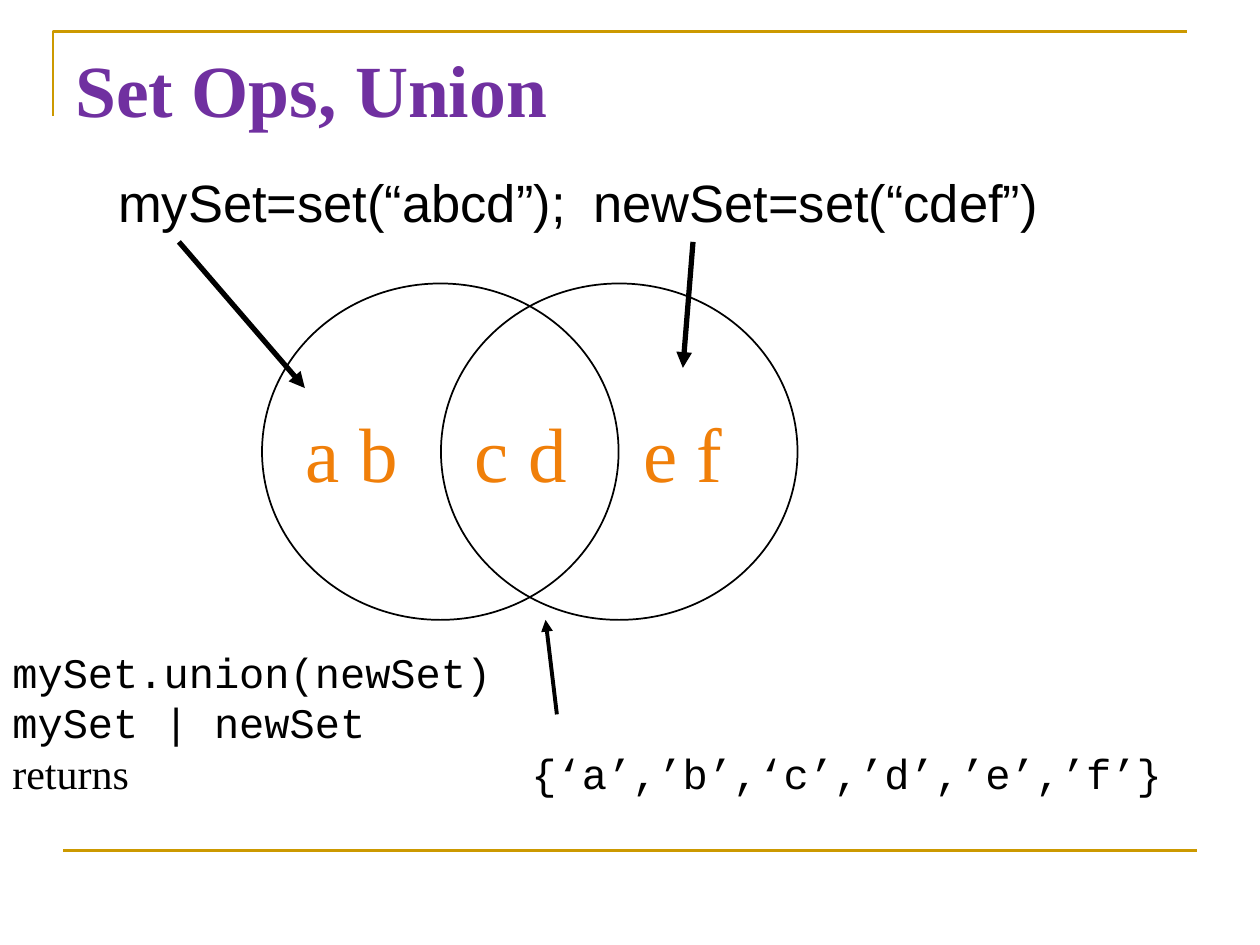
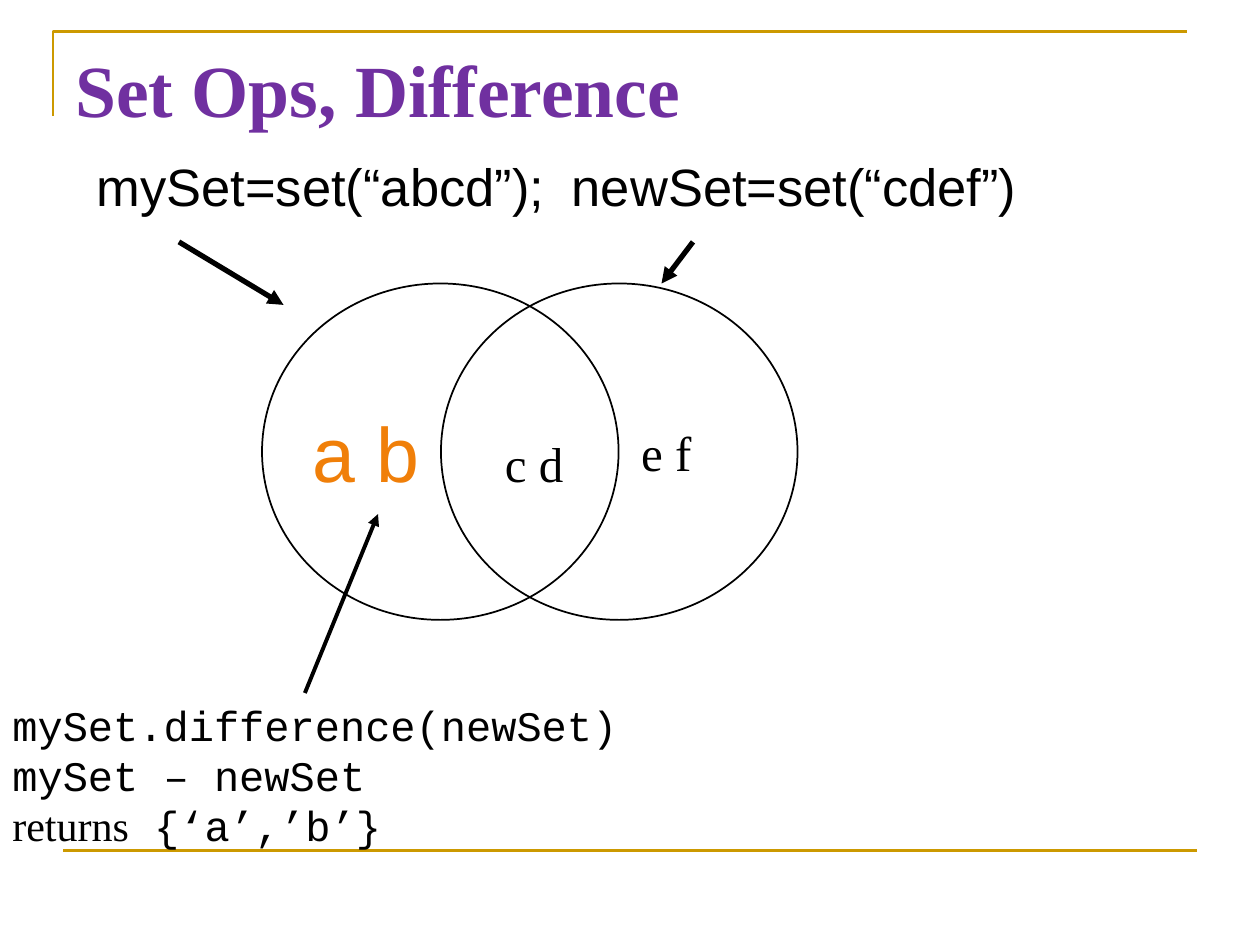
from lxml import etree
from pptx import Presentation, util as u
from pptx.dml.color import RGBColor
from pptx.enum import shapes, text
from pptx.oxml import ns

COLORS = {"gold": "CC9900", "title": "7030A0", "ink": "000000", "accent": "F07F09"}
SERIF, SANS, MONO = "Times New Roman", "Arial", "Courier New"
CIRCLE_TOP, CIRCLE_WIDTH, CIRCLE_HEIGHT = 2.25, 2.83, 2.67
CIRCLE_LEFTS = (3.5, 2.08)
ARROW_TOP = 1.92
LABEL_STEP = 1.34


def color(name):
    return RGBColor.from_string(COLORS[name])


def style(font, name, size, ink="ink", bold=False):
    font.name, font.size, font.bold = name, u.Pt(size), bold
    font.color.rgb = color(ink)


def add_box(page, left, top, width, height):
    box = page.shapes.add_textbox(*map(u.Inches, (left, top, width, height)))
    box.text_frame.word_wrap = True
    return box.text_frame


def add_tabs(para, *stops):
    tabs = etree.SubElement(para._p.get_or_add_pPr(), ns.qn("a:tabLst"))
    for stop in stops:
        etree.SubElement(tabs, ns.qn("a:tab"), pos=str(u.Inches(stop)), algn="l")


def add_line(page, start, end, ink, width, arrow=False):
    points = map(u.Inches, (*start, *end))
    line = page.shapes.add_connector(shapes.MSO_CONNECTOR.STRAIGHT, *points)
    line.line.color.rgb = color(ink)
    line.line.width = u.Pt(width)
    if arrow:
        etree.SubElement(line.line._get_or_add_ln(), ns.qn("a:tailEnd"), type="triangle")
    etree.SubElement(line._element.spPr, ns.qn("a:effectLst"))


def add_frame(page):
    builder = page.shapes.build_freeform(u.Inches(0.42), u.Inches(0.92))
    corner = [(u.Inches(0.42), u.Inches(0.25)), (u.Inches(9.42), u.Inches(0.25))]
    builder.add_line_segments(corner, close=False)
    bracket = builder.convert_to_shape()
    bracket.shadow.inherit = False
    bracket.fill.background()
    bracket.line.color.rgb = color("gold")
    bracket.line.width = u.Pt(1.5)
    add_line(page, (0.5, 6.75), (9.5, 6.75), "gold", 1.5)


def add_title(page, words):
    para = add_box(page, 0.5, 0.3, 9, 1.5).paragraphs[0]
    para.text = words
    style(para.font, SERIF, 42, "title", True)


def add_definitions(page, left, top):
    para = add_box(page, left, top, 9, 0.7).paragraphs[0]
    para.text = "mySet=set(“abcd”);\tnewSet=set(“cdef”)"
    para.space_before = u.Pt(7.5)
    add_tabs(para, 3.77)
    style(para.font, SANS, 30)


def add_circles(page):
    for left in CIRCLE_LEFTS:
        area = map(u.Inches, (left, CIRCLE_TOP, CIRCLE_WIDTH, CIRCLE_HEIGHT))
        circle = page.shapes.add_shape(shapes.MSO_SHAPE.OVAL, *area)
        circle.shadow.inherit = False
        circle.fill.background()
        circle.line.color.rgb = color("ink")
        circle.line.width = u.Pt(1)


def add_code(page, top, lines, result, stop=None):
    frame = add_box(page, 0, top, 10, 1.3)
    for index, words in enumerate(lines):
        para = frame.paragraphs[0] if index == 0 else frame.add_paragraph()
        para.text = words
        style(para.font, MONO, 24)
    para = frame.add_paragraph()
    if stop:
        add_tabs(para, stop)
    for words, name in (("returns", SERIF), (("\t" if stop else " ") + result, MONO)):
        span = para.add_run()
        span.text = words
        style(span.font, name, 24)


def add_label(page, left, pieces, stops=()):
    frame = add_box(page, left, CIRCLE_TOP, 3.6, CIRCLE_HEIGHT)
    frame.vertical_anchor = text.MSO_ANCHOR.MIDDLE
    para = frame.paragraphs[0]
    add_tabs(para, *stops)
    for words, name, size, ink in pieces:
        span = para.add_run()
        span.text = words
        style(span.font, name, size, ink)


def add_page(deck, title, definitions, arrows):
    page = deck.slides.add_slide(deck.slide_layouts[6])
    add_frame(page)
    add_title(page, title)
    add_definitions(page, *definitions)
    add_circles(page)
    for start, end, width in arrows:
        add_line(page, start, end, "ink", width, arrow=True)
    return page


def add_union(deck):
    arrows = [((1.42, ARROW_TOP), (2.42, 3.08), 3),
              ((5.5, ARROW_TOP), (5.42, 2.92), 3),
              ((4.42, 5.67), (4.33, 4.92), 2.25)]
    page = add_page(deck, "Set Ops, Union", (0.84, 1.3), arrows)
    add_code(page, 5.08, ("mySet.union(newSet)", "mySet | newSet"),
             "{‘a’,’b’,‘c’,’d’,’e’,’f’}", 4.12)
    add_label(page, 2.33, [("a b\tc d\te f", SERIF, 44, "accent")],
              (LABEL_STEP, 2 * LABEL_STEP))


def add_difference(deck):
    arrows = [((1.42, ARROW_TOP), (2.25, 2.42), 3),
              ((5.5, ARROW_TOP), (5.25, 2.25), 3),
              ((2.42, 5.5), (3, 4.08), 2.25)]
    page = add_page(deck, "Set Ops, Difference", (0.67, 1.17), arrows)
    add_code(page, 5.5, ("mySet.difference(newSet)", "mySet – newSet"), "{‘a’,’b’}")
    add_label(page, 2.38, [("a b", SANS, 44, "accent"), ("\tc d", SERIF, 28, "ink")], (1.53,))
    add_label(page, 4.99, [("e f", SERIF, 28, "ink")])


def main():
    deck = Presentation()
    deck.slide_width, deck.slide_height = u.Inches(10), u.Inches(7.5)
    add_union(deck)
    add_difference(deck)
    deck.save("out.pptx")


main()
